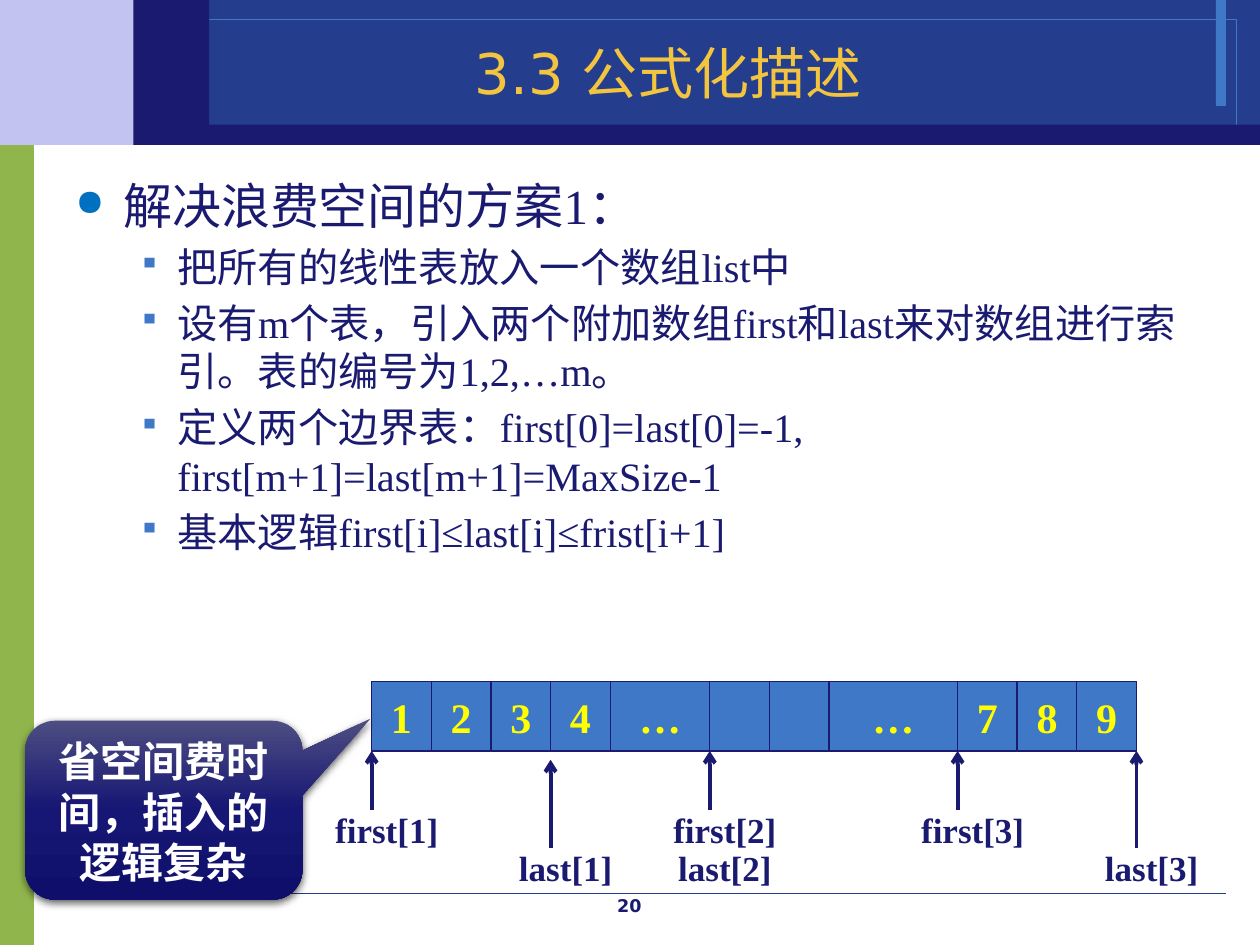
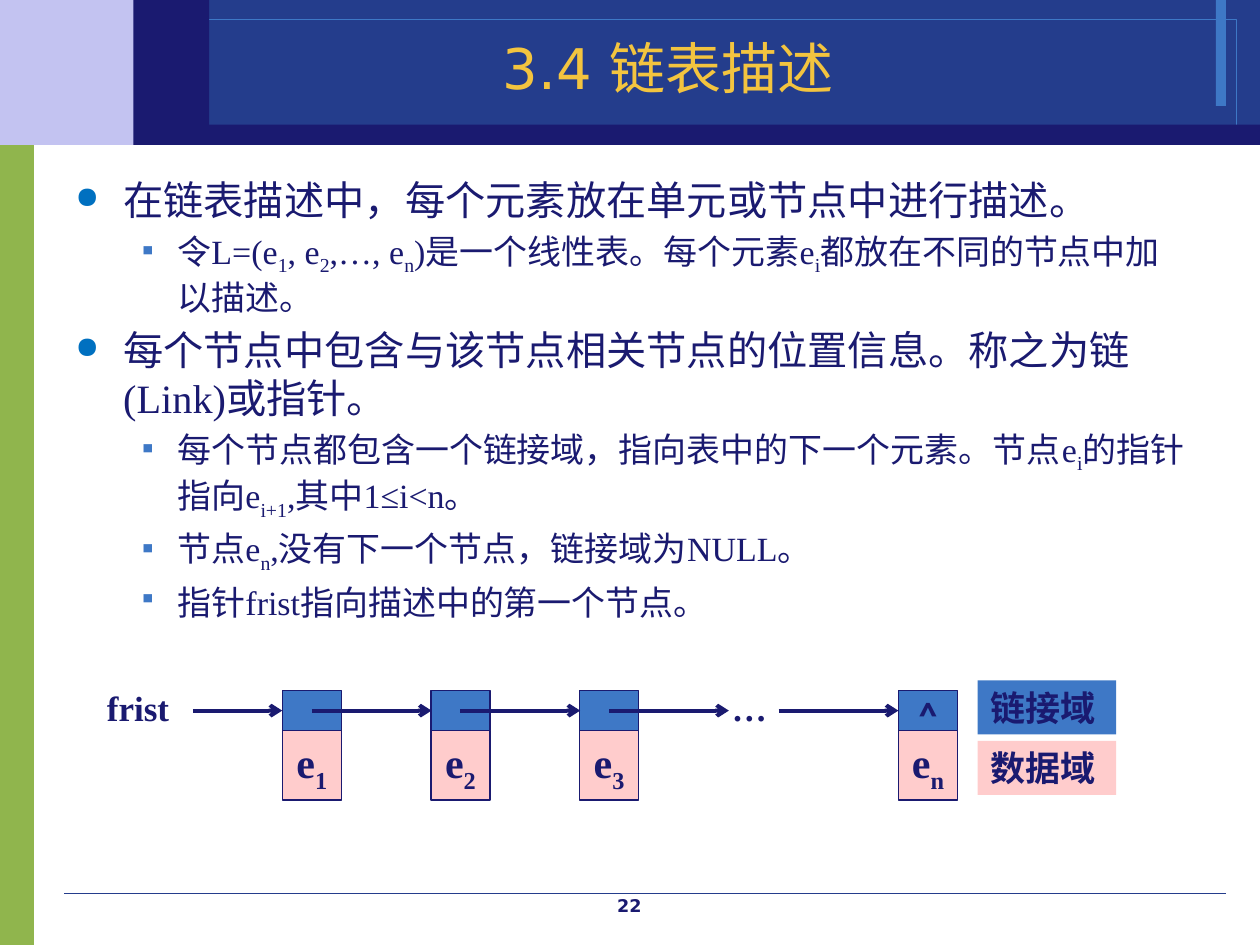
import itertools

import lxml.etree
import pptx
import pptx.dml.color
import pptx.enum.shapes
import pptx.enum.text
import pptx.oxml.ns
import pptx.util

Inches = pptx.util.Inches
Pt = pptx.util.Pt
SHAPES = pptx.enum.shapes.MSO_SHAPE
ALIGN = pptx.enum.text.PP_ALIGN
ANCHOR = pptx.enum.text.MSO_ANCHOR

COLORS = {
    "navy": "1A1A70", "royal": "243D8C", "blue": "3E78C6", "lavender": "C3C3F1",
    "green": "90B54D", "gold": "F3C43F", "bullet": "0070C0", "yellow": "FFFF00",
    "pink": "FFCCCC", "white": "FFFFFF", "black": "000000",
    "callout_top": "4D4D82", "callout_middle": "161674", "callout_bottom": "0F0F6B",
}
SERIF, SANS, LABEL = "Times New Roman", "DejaVu Sans", "Karla"
BULLETS = [("●", "bullet", 0.38, -0.38), ("▪", "blue", 0.81, -0.31)]
CELL_WIDTH, CELL_HEIGHT = 0.47, 0.55
HAIRLINE = 0.1


def rgb(color):
    """Return the colour object for a named colour."""
    return pptx.dml.color.RGBColor.from_string(COLORS[color])


def add_xml(parent, tag, **attributes):
    """Append a DrawingML element to a parent and return it."""
    return lxml.etree.SubElement(parent, pptx.oxml.ns.qn(f"a:{tag}"), attributes)


def write(paragraph, text, size, color="navy", font=SERIF, bold=False, align=None):
    """Fill a paragraph with text, in which underscores enclose subscripts."""
    for index, piece in enumerate(text.split("_")):
        if piece:
            run = paragraph.add_run()
            run.text = piece
            if index % 2:
                run._r.get_or_add_rPr().set("baseline", "-25000")
    paragraph.alignment = align
    paragraph.font.size = Pt(size)
    paragraph.font.bold = bold
    paragraph.font.name = font
    paragraph.font.color.rgb = rgb(color)


def add_box(slide, left, top, width, height, fill=None, line=None, line_width=0.75,
            preset=SHAPES.RECTANGLE):
    """Add a flat preset shape."""
    shape = slide.shapes.add_shape(
        preset, Inches(left), Inches(top), Inches(width), Inches(height))
    shape.shadow.inherit = False
    if fill:
        shape.fill.solid()
        shape.fill.fore_color.rgb = rgb(fill)
    else:
        shape.fill.background()
    if line:
        shape.line.color.rgb = rgb(line)
        shape.line.width = Pt(line_width)
    else:
        shape.line.fill.background()
    return shape


def set_text(shape, text, size, wrap=False, anchor=ANCHOR.MIDDLE, align=ALIGN.CENTER, **style):
    """Write one paragraph into a shape."""
    frame = shape.text_frame
    frame.word_wrap = wrap
    frame.vertical_anchor = anchor
    write(frame.paragraphs[0], text, size, align=align, **style)


def add_text(slide, left, top, width, height, text, size, **style):
    """Add a text box with one paragraph."""
    box = slide.shapes.add_textbox(Inches(left), Inches(top), Inches(width), Inches(height))
    set_text(box, text, size, **style)
    return box


def add_line(slide, start, end, color="navy", width=2.25, arrow=True):
    """Draw a straight line, by default with an open arrowhead at its end."""
    connector = slide.shapes.add_connector(
        pptx.enum.shapes.MSO_CONNECTOR.STRAIGHT, *map(Inches, (*start, *end)))
    connector.line.color.rgb = rgb(color)
    connector.line.width = Pt(width)
    if arrow:
        add_xml(connector.line._get_or_add_ln(), "tailEnd", type="arrow")
    add_xml(connector._element.spPr, "effectLst")


def add_frame(presentation, title, number, title_spacing=None):
    """Add a slide with its bands, footer rule, page number and title."""
    slide = presentation.slides.add_slide(presentation.slide_layouts[6])
    add_box(slide, 0, 1.07, 0.27, 6.43, "green")
    add_box(slide, 0, 0, 1.53, 1.15, "lavender")
    add_box(slide, 1.53, 0, 8.47, 1.15, "royal")
    add_box(slide, 9.65, 0, 0.08, 0.84, "blue")
    add_box(slide, 1.19, 0.15, 8.62, 0.85, line="blue", line_width=HAIRLINE)
    add_line(slide, (0.51, 7.09), (9.73, 7.09), "royal", HAIRLINE, arrow=False)
    add_box(slide, 1.3, 0.99, 8.7, 0.16, "navy")
    add_box(slide, 1.06, 0, 0.6, 1.15, "navy")
    add_text(slide, 3.83, 7.05, 2.33, 0.25, number, 10, wrap=True, anchor=ANCHOR.TOP,
             font=SANS, bold=True)
    heading = add_text(slide, 1.19, 0.26, 8.23, 0.62, title, 32, wrap=True,
                       font=SANS, color="gold")
    heading.text_frame.paragraphs[0].line_spacing = title_spacing
    return slide


def add_bullets(slide, left, top, width, height, items, sizes):
    """Write a two-level bullet list of (level, text) items."""
    box = slide.shapes.add_textbox(Inches(left), Inches(top), Inches(width), Inches(height))
    frame = box.text_frame
    frame.word_wrap = True
    for index, (level, text) in enumerate(items):
        paragraph = frame.paragraphs[0] if index == 0 else frame.add_paragraph()
        character, color, margin, indent = BULLETS[level]
        paragraph.level = level
        properties = paragraph._p.get_or_add_pPr()
        properties.set("marL", str(Inches(margin)))
        properties.set("indent", str(Inches(indent)))
        add_xml(add_xml(properties, "buClr"), "srgbClr", val=COLORS[color])
        add_xml(properties, "buSzPct", val="75000")
        add_xml(properties, "buChar", char=character)
        if index:
            paragraph.space_before = Pt(0.2 * sizes[level])
        write(paragraph, text, sizes[level])


def add_array(slide, left, top, width):
    """Draw the shared array with the first and last pointers below it."""
    labels = ["1", "2", "3", "4", "…", "", "", "…", "7", "8", "9"]
    wide = {4: 0.79, 7: 1.02}
    narrow = (width - sum(wide.values())) / (len(labels) - len(wide))
    widths = [wide.get(index, narrow) for index in range(len(labels))]
    edges = list(itertools.accumulate(widths, initial=left))
    for label, edge, cell_width in zip(labels, edges, widths):
        cell = add_box(slide, edge, top, cell_width, CELL_HEIGHT, "blue", "navy")
        if label:
            set_text(cell, label, 24, color="yellow", bold=True)

    first_tail, last_tail = 1.02, 1.32
    pointers = [
        ("first[1]", 0, first_tail, 0.55), ("last[1]", 3, last_tail, 0.62),
        ("first[2]", 5, first_tail, 0.55), ("first[3]", 8, first_tail, 0.55),
        ("last[3]", 11, last_tail, 0.55), ("last[2]", 5, last_tail, None),
    ]
    for label, edge_index, tail, tip in pointers:
        edge = edges[edge_index]
        if tip:
            add_line(slide, (edge, top + tail), (edge, top + tip))
        add_text(slide, edge - 0.47, top + tail - 0.08, 1.18, 0.47, label, 20, bold=True)


def add_callout(slide, left, top, width, height, text):
    """Add the shaded speech bubble that points at the array."""
    bubble = add_box(slide, left, top, width, height,
                     preset=SHAPES.ROUNDED_RECTANGULAR_CALLOUT)
    for index, value in enumerate((0.746, -0.512, 0.167)):
        bubble.adjustments[index] = value
    bubble.fill.gradient()
    bubble.fill.gradient_angle = 270
    properties = bubble._element.spPr
    stops = properties.find(".//" + pptx.oxml.ns.qn("a:gsLst"))
    for stop in list(stops):
        stops.remove(stop)
    for position, color in ((0, "callout_top"), (50, "callout_middle"), (100, "callout_bottom")):
        stop = add_xml(stops, "gs", pos=str(position * 1000))
        add_xml(stop, "srgbClr", val=COLORS[color])
    shadow = add_xml(properties.find(pptx.oxml.ns.qn("a:effectLst")), "outerShdw",
                     blurRad=str(Pt(4.5)), dist=str(Pt(1.5)), dir="5400000", rotWithShape="0")
    add_xml(add_xml(shadow, "srgbClr", val=COLORS["black"]), "alpha", val="63000")
    set_text(bubble, text, 24, wrap=True, anchor=ANCHOR.TOP,
             color="white", font=LABEL, bold=True)


def add_linked_list(slide, left, top):
    """Draw the chain of nodes with its head pointer and legend."""
    pitch, link_height = 1.18, 0.32
    first_node, last_node = left + 1.49, left + 6.38
    link_top, link_middle = top + 0.08, top + 0.24
    nodes = [(first_node + index * pitch, f"e_{index + 1}_", "") for index in range(3)]
    for node_left, name, link in nodes + [(last_node, "e_n_", "^")]:
        link_box = add_box(slide, node_left, link_top, CELL_WIDTH, link_height, "blue", "navy")
        if link:
            set_text(link_box, link, 20, font=LABEL, bold=True)
        data_box = add_box(slide, node_left, link_top + link_height, CELL_WIDTH, CELL_HEIGHT,
                           "pink", "navy")
        set_text(data_box, name, 24, bold=True)

    for row, (text, fill) in enumerate((("链接域", "blue"), ("数据域", "pink"))):
        legend = add_box(slide, left + 7.01, top + row * 0.48, 1.1, 0.43, fill)
        set_text(legend, text, 20, wrap=True, align=ALIGN.LEFT, font=LABEL, bold=True)

    arrows = [(left + 0.78, first_node), (last_node - 0.95, last_node)]
    arrows += [(node_left + CELL_WIDTH / 2, node_left + CELL_WIDTH / 2 + 0.95)
               for node_left, _, _ in nodes]
    for start, end in arrows:
        add_line(slide, (start, link_middle), (end, link_middle))
    for offset, width, text in ((4.96, 0.55, "…"), (0, 0.87, "frist")):
        add_text(slide, left + offset, top, width, 0.43, text, 20, wrap=True,
                 align=ALIGN.LEFT, bold=True)


def build_formula_slide(presentation):
    """Build the slide on storing several lists in one array."""
    slide = add_frame(presentation, "3.3 公式化描述", "20")
    add_bullets(slide, 0.5, 1.34, 9, 5.74, [
        (0, "解决浪费空间的方案1："),
        (1, "把所有的线性表放入一个数组list中"),
        (1, "设有m个表，引入两个附加数组first和last来对数组进行索引。表的编号为1,2,…m。"),
        (1, "定义两个边界表：first[0]=last[0]=-1, first[m+1]=last[m+1]=MaxSize-1"),
        (1, "基本逻辑first[i]≤last[i]≤frist[i+1]"),
    ], (28, 23))
    add_array(slide, 2.95, 5.41, 6.07)
    add_callout(slide, 0.2, 5.72, 2.2, 1.42, "省空间费时间，插入的逻辑复杂")


def build_linked_slide(presentation):
    """Build the slide on the linked representation."""
    slide = add_frame(presentation, "3.4 链表描述", "22", title_spacing=0.9)
    add_bullets(slide, 0.5, 1.34, 9, 5.74, [
        (0, "在链表描述中，每个元素放在单元或节点中进行描述。"),
        (1, "令L=(e_1_, e_2_,…, e_n_)是一个线性表。每个元素e_i_都放在不同的节点中加以描述。"),
        (0, "每个节点中包含与该节点相关节点的位置信息。称之为链(Link)或指针。"),
        (1, "每个节点都包含一个链接域，指向表中的下一个元素。"
            "节点e_i_的指针指向e_i+1_,其中1≤i<n。"),
        (1, "节点e_n_,没有下一个节点，链接域为NULL。"),
        (1, "指针frist指向描述中的第一个节点。"),
    ], (23, 19.4))
    add_linked_list(slide, 0.75, 5.4)


def main():
    """Build and save the presentation."""
    presentation = pptx.Presentation()
    presentation.slide_width = Inches(10)
    presentation.slide_height = Inches(7.5)
    build_formula_slide(presentation)
    build_linked_slide(presentation)
    presentation.save("out.pptx")


if __name__ == "__main__":
    main()
